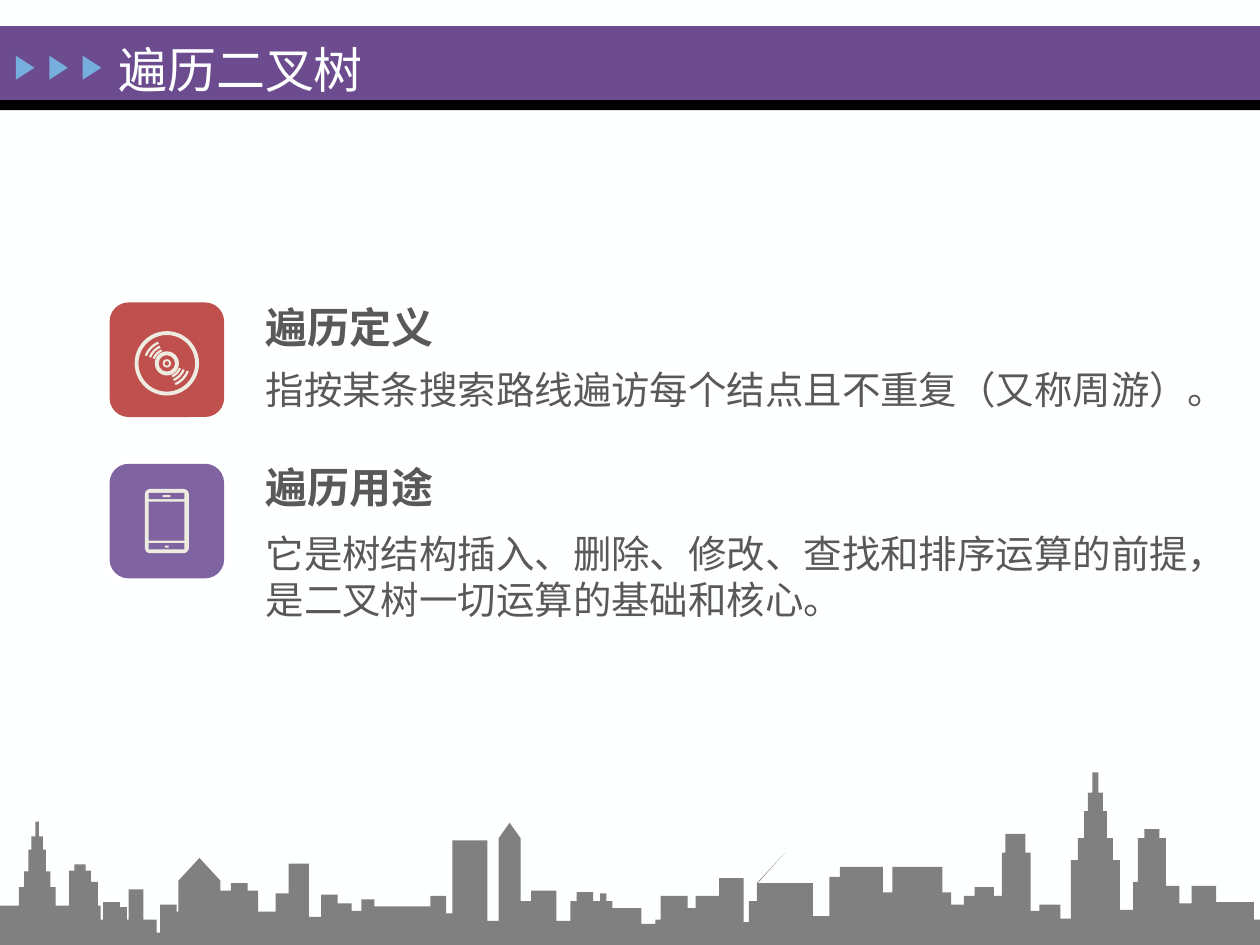
from pptx import Presentation
from pptx.dml.color import RGBColor
from pptx.enum.shapes import MSO_SHAPE as Kind
from pptx.enum.text import MSO_ANCHOR, MSO_AUTO_SIZE
from pptx.oxml.ns import qn
from pptx.util import Pt
from itertools import pairwise
from lxml.etree import SubElement

WHITE = RGBColor(0xFE, 0xFF, 0xFF)
BLACK = RGBColor(0, 0, 0)
PLUM = RGBColor(0x6C, 0x4C, 0x8F)
BLUE = RGBColor(0x76, 0xAE, 0xDD)
RED = RGBColor(0xC0, 0x50, 0x4D)
PURPLE = RGBColor(0x80, 0x64, 0xA2)
CREAM = RGBColor(0xEE, 0xEC, 0xE1)
INK = RGBColor(0x59, 0x59, 0x59)
GREY = RGBColor(0x80, 0x80, 0x80)
SANS, SERIF = "Noto Sans CJK SC", "Times New Roman"
WIDE, HIGH = 720, 540

TITLE = "遍历二叉树"
# heading, heading top, body, body top, body height
TOPICS = [
    ("遍历定义", 167.5, "指按某条搜索路线遍访每个结点且不重复（又称周游）。", 204.2, 36.7),
    ("遍历用途", 258.8, "它是树结构插入、删除、修改、查找和排序运算的前提，"
     "是二叉树一切运算的基础和核心。", 297.8, 63.4),
]
TEXT_LEFT = 142.4
ARROW_LEFT, ARROW_STEP, ARROW_COUNT = 7.5, 19.1, 3
TILE, TILE_LEFT = 65.5, 62.6

# disc: (radius, ring width), then groove radii and their angles
RINGS = [(18.4, 2.2), (6.9, 2.2), (2.4, 1.1)]
GROOVES = [8.6, 10.9, 13.4]
SPANS = [(20, 68), (200, 248)]

# phone parts: left, top, width, height, within the phone
PHONE = (25.2, 36.7)
PANES = [(2.2, 2.2, 20.5, 3.6), (2.2, 7.2, 20.5, 22.3), (2.2, 31, 20.5, 3.6)]
SLOTS = [(10.2, 3.5, 4.5, 1.2), (11.5, 32.4, 2.2, 1.2)]

# City, seen from the front. Heights rise from the foot of the slide.
# ground: each stretch runs from the last one's end to its own (end, height)
GROUND = [(57.5, 22.5), (89.5, 14.5), (91.5, 7), (165, 19), (183.5, 16),
          (214, 19.5), (255, 22), (258.5, 18), (326, 13.7), (350, 25),
          (366.5, 21), (374.5, 12), (377.5, 14.5), (411, 21), (428, 13),
          (433, 25), (474, 16.5), (543.5, 30), (589, 23), (594, 19.5),
          (606, 23), (640, 15), (647.5, 20), (666, 36), (674, 33.8),
          (681, 23.8), (695, 33.8), (716.5, 24.5), (WIDE, 14.5)]
# symmetric towers: centre, then tiers of (width, height)
TOWERS = {
    "west spire": (21.25, [(21, 33), (15, 42), (10, 54.5), (6.5, 62), (2, 70.5)]),
    "east spire": (626, [(28, 48.5), (20, 61), (13, 76.5), (8.5, 87), (3.5, 98.6)]),
    "west hall": (45.75, [(12.5, 42.5), (6.5, 46)]),
    "east hall": (658.25, [(16, 61), (8.5, 66.2)]),
    "west terrace": (136.75, [(21.5, 31), (9.5, 35.3)]),
    "east terrace": (562.5, [(23.5, 28), (11, 33)]),
}
# gabled houses: left, width, eaves, ridge
GABLES = [(102, 24, 36.7, 49.7), (285, 12.5, 61, 69.8), (432.5, 32, 35.3, 52.6)]
# flat roofs: left, width, height
FLATS = {
    "west": [(52, 4, 36), (59, 9.5, 24.5), (68.5, 4, 21.6), (73.5, 8.5, 31.7),
             (91.5, 9.5, 23), (157.5, 7.5, 29.5), (165, 11.5, 46.4)],
    "middle": [(183.5, 9.5, 28.8), (193, 8, 23.8), (206.5, 7.5, 26),
               (246, 9, 28), (258.5, 20, 59.8), (297.5, 6.5, 25),
               (303.5, 14.5, 31), (329.5, 9.5, 30.2), (343, 3.5, 29.5),
               (377.5, 15.5, 28), (397.5, 13.5, 28), (411, 14, 38.2)],
    "east": [(474, 6, 38.9), (480, 24.5, 44.6), (510, 28.5, 44.6),
             (572.5, 16.5, 52.8), (574.5, 11.5, 63.4)],
}


def paint(shape, fill):
    shape.shadow.inherit = False
    shape.fill.solid()
    shape.fill.fore_color.rgb = fill
    shape.line.fill.background()
    return shape


def draw(home, kind, box, fill, *adjust):
    shape = paint(home.add_shape(kind, *map(Pt, box)), fill)
    for i, value in enumerate(adjust):
        shape.adjustments[i] = value
    return shape


def ring(home, kind, mid, radius, *adjust):
    x, y = mid
    draw(home, kind, (x - radius, y - radius, 2 * radius, 2 * radius),
         CREAM, *adjust)


def write(home, box, text, face, size, color, bold=False, wrap=True):
    frame = home.add_textbox(*map(Pt, box)).text_frame
    frame.word_wrap = wrap
    frame.text = text
    par = frame.paragraphs[0]
    font = par.font
    font.name, font.size, font.bold = face, Pt(size), bold
    font.color.rgb = color
    props = par._p.find(".//" + qn("a:defRPr"))
    SubElement(props, qn("a:ea")).set("typeface", SANS)
    return frame


def topic(home, *args, **more):
    frame = write(home, *args, **more)
    frame.margin_left = frame.margin_right = Pt(9.4)
    frame.margin_top = frame.margin_bottom = Pt(5)
    frame.auto_size = MSO_AUTO_SIZE.SHAPE_TO_FIT_TEXT


def disc(home, x, y):
    mid = (x, y + 2.1)
    for radius, width in RINGS:
        ring(home, Kind.DONUT, mid, radius, width / (2 * radius))
    for radius in GROOVES:
        for start, end in SPANS:
            # angles are in 60000ths of a degree, adjustments in 100000ths
            ring(home, Kind.BLOCK_ARC, mid, radius,
                 start * 0.6, end * 0.6, 1.3 / (2 * radius))


def phone(home, x, y):
    left, top = x - PHONE[0] / 2, y - PHONE[1] / 2
    draw(home, Kind.ROUNDED_RECTANGLE, (left, top, *PHONE), CREAM, 0.12)
    for parts, fill in ((PANES, PURPLE), (SLOTS, CREAM)):
        for dx, dy, w, h in parts:
            draw(home, Kind.RECTANGLE, (left + dx, top + dy, w, h), fill)


def blocks():
    """Every wall of the city as (left, right, height)."""
    walls = [(a, b, h) for (a, _), (b, h) in pairwise([(0, 0)] + GROUND)]
    for mid, tiers in TOWERS.values():
        walls += [(mid - w / 2, mid + w / 2, h) for w, h in tiers]
    for row in FLATS.values():
        walls += [(x, x + w, h) for x, w, h in row]
    return walls + [(x, x + w, eaves) for x, w, eaves, _ in GABLES]


def skyline(home):
    """Trace the tallest wall at each place, with ridges on the gables."""
    walls = blocks()
    ridges = {x: (x + w / 2, top) for x, w, _, top in GABLES}
    edges = sorted({x for left, right, _ in walls for x in (left, right)})
    points = [(0, 0)]
    for left, right in pairwise(edges):
        level = max(h for a, b, h in walls if a <= left and right <= b)
        points.append((left, level))
        if left in ridges:
            points.append(ridges[left])
        points.append((right, level))
    points.append((WIDE, 0))
    spots = [(Pt(x), Pt(HIGH - h)) for x, h in points]
    pen = home.build_freeform(*spots[0])
    pen.add_line_segments(spots[1:], close=True)
    paint(pen.convert_to_shape(), GREY)


deck = Presentation()
deck.slide_width, deck.slide_height = Pt(WIDE), Pt(HIGH)
slide = deck.slides.add_slide(deck.slide_layouts[6])
slide.background.fill.solid()
slide.background.fill.fore_color.rgb = WHITE
shapes = slide.shapes

draw(shapes, Kind.RECTANGLE, (0, 15, WIDE, 42.2), PLUM)
draw(shapes, Kind.RECTANGLE, (0, 57.2, WIDE, 5.7), BLACK)
arrows = shapes.add_group_shape().shapes
for i in range(ARROW_COUNT):
    box = (ARROW_LEFT + i * ARROW_STEP, 33.4, 13.7, 10.6)
    draw(arrows, Kind.ISOSCELES_TRIANGLE, box, BLUE).rotation = 90
head = write(shapes, (60.5, 12.2, 547, 54), TITLE, SERIF, 28, WHITE)
head.vertical_anchor = MSO_ANCHOR.MIDDLE

for top, fill, icon in ((172.8, RED, disc), (265, PURPLE, phone)):
    group = shapes.add_group_shape().shapes
    draw(group, Kind.ROUNDED_RECTANGLE, (TILE_LEFT, top, TILE, TILE), fill)
    icon(group, TILE_LEFT + TILE / 2, top + TILE / 2)

for name, top, body, low, tall in TOPICS:
    topic(shapes, (TEXT_LEFT, top, 116, 39), name, SANS, 24, INK,
          bold=True, wrap=False)
    topic(shapes, (TEXT_LEFT, low, 558.7, tall), body, SANS, 22, INK)
skyline(shapes)

deck.save("out.pptx")
